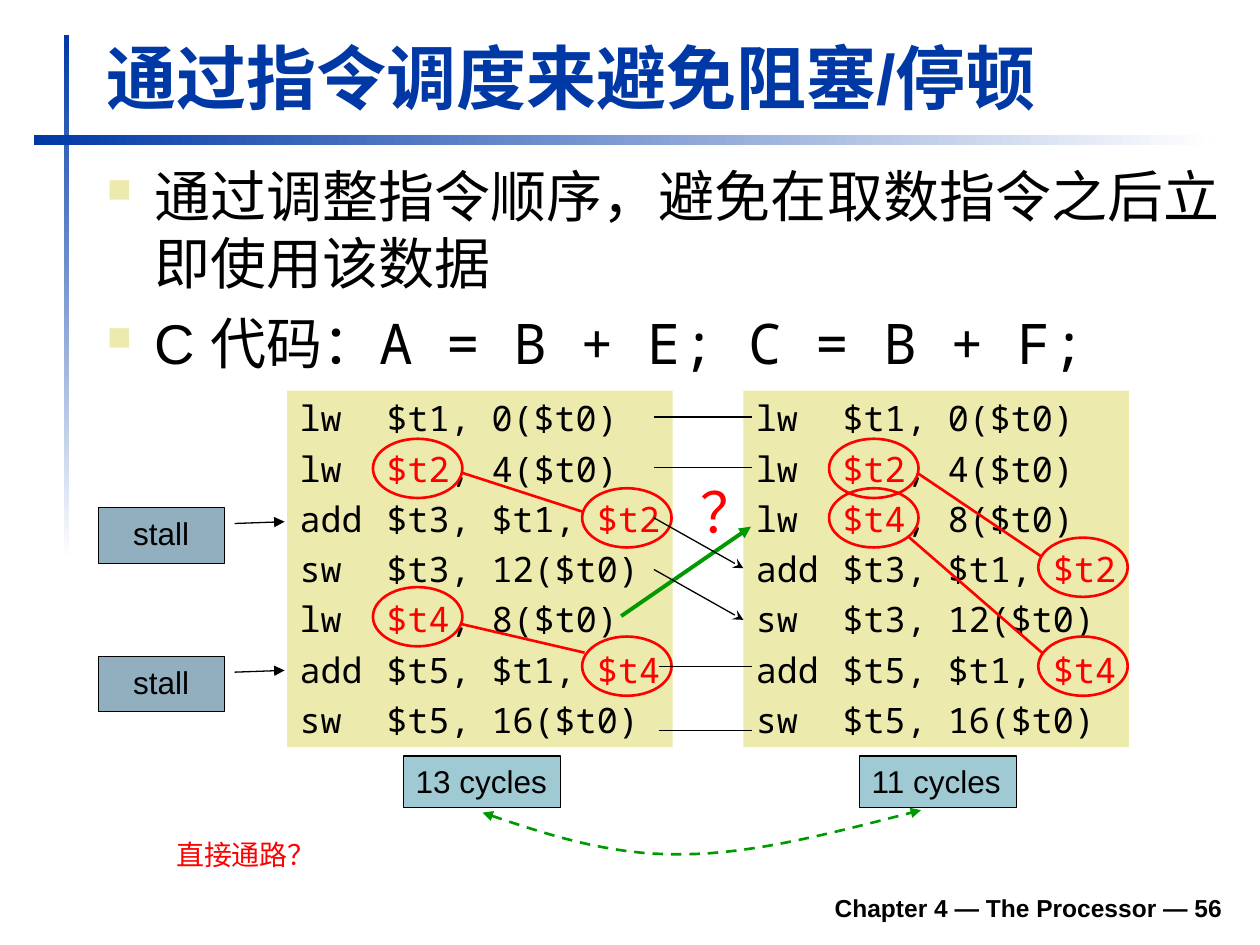
from typing import NamedTuple

from pptx import Presentation
from pptx.dml.color import RGBColor
from pptx.enum.dml import MSO_LINE
from pptx.enum.shapes import MSO_CONNECTOR, MSO_SHAPE
from pptx.enum.text import MSO_ANCHOR, PP_ALIGN
from pptx.oxml.ns import qn
from pptx.util import Inches, Pt
from lxml.etree import SubElement

COLORS = {
    "navy": "0039A6", "white": "FFFFFF", "black": "000000", "red": "FF0000",
    "green": "009900", "sand": "ECEAAC", "steel": "91AFBF", "teal": "9FCAD3",
}
SANS, MONO = "Arial", "Noto Sans Mono"
ROW = 0.3925  # pitch of the code lines and their rings


class Label(NamedTuple):
    at: tuple
    text: str
    size: int
    color: str = "black"
    bold: bool = False
    align: PP_ALIGN = PP_ALIGN.LEFT
    anchor: MSO_ANCHOR = MSO_ANCHOR.TOP
    wrap: bool = True


class Panel(NamedTuple):
    left: float
    lines: list  # text between asterisks is red
    rings: list  # (x offset, line number)
    cycles: str


class Link(NamedTuple):
    start: tuple
    end: tuple
    color: str = "black"
    width: float = 0.75
    tail: str = ""


def rgb(name: str) -> RGBColor:
    return RGBColor.from_string(COLORS[name])


def style(para, size: int, color: str = "", name: str = SANS, bold: bool = False) -> None:
    font = para.font
    font.size, font.bold = Pt(size), bold
    if name:
        font.name = name
    if color:
        font.color.rgb = rgb(color)


def draw_line(line, color: str, width: float, head: str = "", tail: str = "") -> None:
    line.color.rgb, line.width = rgb(color), Pt(width)
    for tag, kind in (("a:headEnd", head), ("a:tailEnd", tail)):
        if kind:
            SubElement(line._get_or_add_ln(), qn(tag), type=kind)


def add_box(kind: MSO_SHAPE, at: tuple, fill: str = "", edge: str = "",
            width: float = 0.75, tail: str = ""):
    box = slide.shapes.add_shape(kind, *map(Inches, at))
    box.shadow.inherit = False
    if fill:
        box.fill.solid()
        box.fill.fore_color.rgb = rgb(fill)
    else:
        box.fill.background()
    if edge:
        draw_line(box.line, edge, width, tail=tail)
    else:
        box.line.fill.background()
    return box


def add_bar(at: tuple, angle: int) -> None:
    fill = add_box(MSO_SHAPE.RECTANGLE, at).fill
    fill.gradient()
    fill.gradient_angle = angle
    for stop, color in zip(fill.gradient_stops, ("navy", "white")):
        stop.color.rgb = rgb(color)


def put_text(box, label: Label) -> None:
    frame = box.text_frame
    frame.word_wrap, frame.vertical_anchor = label.wrap, label.anchor
    para = frame.paragraphs[0]
    para.text, para.alignment = label.text, label.align
    style(para, label.size, label.color, bold=label.bold)


def add_label(label: Label) -> None:
    put_text(slide.shapes.add_textbox(*map(Inches, label.at)), label)


def add_link(link: Link) -> None:
    ends = map(Inches, link.start + link.end)
    line = slide.shapes.add_connector(MSO_CONNECTOR.STRAIGHT, *ends)
    draw_line(line.line, link.color, link.width, tail=link.tail)
    SubElement(line._element.spPr, qn("a:effectLst"))


def add_points(at: tuple, points: list) -> None:
    frame = slide.shapes.add_textbox(*map(Inches, at)).text_frame
    frame.word_wrap = True
    for i, runs in enumerate(points):
        para = frame.add_paragraph() if i else frame.paragraphs[0]
        props = para._p.get_or_add_pPr()
        props.set("marL", str(Inches(0.38)))
        props.set("indent", str(Inches(-0.38)))
        tint = SubElement(props, qn("a:buClr"))
        SubElement(tint, qn("a:srgbClr"), val=COLORS["sand"])
        SubElement(props, qn("a:buSzPct"), val="60000")
        SubElement(props, qn("a:buChar"), char="■")
        para.space_before = Pt(7.5 if i else 0)
        for text, name in runs:
            run = para.add_run()
            run.text, run.font.name = text, name
        style(para, 32, "black", name="")


def add_panel(panel: Panel) -> None:
    box = add_box(MSO_SHAPE.RECTANGLE, (panel.left, 3.1, 3.06, 2.83), "sand")
    frame = box.text_frame
    frame.word_wrap, frame.vertical_anchor = False, MSO_ANCHOR.TOP
    for i, code in enumerate(panel.lines):
        para = frame.add_paragraph() if i else frame.paragraphs[0]
        tabs = SubElement(para._p.get_or_add_pPr(), qn("a:tabLst"))
        SubElement(tabs, qn("a:tab"), pos=str(Inches(0.69)), algn="l")
        para.alignment = PP_ALIGN.LEFT
        para.space_before = Pt(4.7 if i else 0)
        for j, part in enumerate(code.split("*")):
            if part:
                run = para.add_run()
                run.text = part
                run.font.color.rgb = rgb("red" if j % 2 else "black")
        style(para, 20, name=MONO)
    tag = (panel.left + 0.92, 6, 1.25, 0.41)
    put_text(add_box(MSO_SHAPE.RECTANGLE, tag, "teal", "black"),
             Label(tag, panel.cycles, 18, wrap=False))


def add_rings(panel: Panel) -> None:
    for x, row in panel.rings:
        add_box(MSO_SHAPE.OVAL, (panel.left + x, 3.09 + row * ROW, 0.71, 0.47),
                edge="red", width=1.5)


def add_stall(top: float) -> None:
    at = (0.78, top, 1, 0.44)
    box = add_box(MSO_SHAPE.LINE_CALLOUT_1, at, "steel", "black", tail="triangle")
    for i, value in enumerate((0.285, 1.083, 0.253, 1.479)):
        box.adjustments[i] = value
    put_text(box, Label(at, "stall", 18, align=PP_ALIGN.CENTER))


def add_curve(start: tuple, bends: list, steps: int = 16) -> None:
    spots = [start]
    for b, c, d in bends:
        a = spots[-1]
        for t in (n / steps for n in range(1, steps + 1)):
            u = 1 - t
            mix = (u**3, 3 * u * u * t, 3 * u * t * t, t**3)
            spots.append(tuple(sum(m * p[k] for m, p in zip(mix, (a, b, c, d)))
                               for k in (0, 1)))
    spots = [(Inches(x), Inches(y)) for x, y in spots]
    pen = slide.shapes.build_freeform(*spots[0])
    pen.add_line_segments(spots[1:], close=False)
    curve = pen.convert_to_shape()
    curve.shadow.inherit = False
    curve.fill.background()
    curve.line.dash_style = MSO_LINE.DASH
    draw_line(curve.line, "green", 1.5, "triangle", "triangle")


NEAR, FAR = 0.68, 2.34
PANELS = [
    Panel(2.28, ["lw\t$t1, 0($t0)", "lw\t*$t2*, 4($t0)", "add\t$t3, $t1, *$t2*",
                 "sw\t$t3, 12($t0)", "lw\t*$t4*, 8($t0)", "add\t$t5, $t1, *$t4*",
                 "sw\t$t5, 16($t0)"],
          [(NEAR, 1), (FAR, 2), (NEAR, 4), (FAR, 5)], "13 cycles"),
    Panel(5.9, ["lw\t$t1, 0($t0)", "lw\t*$t2*, 4($t0)", "lw\t*$t4*, 8($t0)",
                "add\t$t3, $t1, *$t2*", "sw\t$t3, 12($t0)", "add\t$t5, $t1, *$t4*",
                "sw\t$t5, 16($t0)"],
          [(NEAR, 1), (FAR, 3), (FAR, 5), (NEAR, 2)], "11 cycles"),
]
# Red: data dependences; black: moved or kept lines
LINKS = [Link(a, b, "red", 1.5) for a, b in (
    ((3.66, 3.75), (4.62, 4.06)), ((3.65, 4.95), (4.64, 5.18)),
    ((7.29, 3.76), (8.27, 4.42)), ((7.21, 4.26), (8.27, 5.18)))]
LINKS += [Link((x, y), (5.97, y))
          for x, y in ((5.19, 3.31), (5.19, 3.71), (5.23, 5.29), (5.23, 5.8))]
LINKS += [Link((5.19, y), (5.9, y + 0.4), tail="stealth") for y in (4.11, 4.52)]

deck = Presentation()
deck.slide_width, deck.slide_height = Inches(10), Inches(7.5)
slide = deck.slides.add_slide(deck.slide_layouts[6])

# Frame bars, footer, title and points
add_bar((0.51, 0.28, 0.04, 4.17), 270)
add_bar((0.27, 1.07, 9.37, 0.08), 0)
add_label(Label((1.85, 6.98, 7.95, 0.39), "Chapter 4 — The Processor — 56", 14,
                bold=True, align=PP_ALIGN.RIGHT, anchor=MSO_ANCHOR.BOTTOM))
add_label(Label((0.75, 0.22, 9.03, 0.77), "通过指令调度来避免阻塞/停顿", 40, "navy",
                bold=True, anchor=MSO_ANCHOR.BOTTOM))
add_points((0.75, 1.23, 9.05, 2.02), [
    [("通过调整指令顺序，避免在取数指令之后立即使用该数据", SANS)],
    [("C 代码：", SANS), ("A = B + E; C = B + F;", MONO)],
])

# Code panels with stalls, rings and links
for panel in PANELS:
    add_panel(panel)
for top in (4.03, 5.21):
    add_stall(top)
add_link(Link((4.93, 4.89), (5.96, 4.18), "green", 2.25, "triangle"))
for panel in PANELS:
    add_rings(panel)
for link in LINKS:
    add_link(link)

# Cycle comparison and remarks
add_curve((3.83, 6.45), [((4.33, 6.62), (4.83, 6.79), (5.41, 6.78)),
                         ((5.99, 6.78), (6.65, 6.6), (7.31, 6.43))])
add_label(Label((5.46, 3.74, 0.52, 0.64), "？", 32, "red"))
add_label(Label((1.3, 6.6, 1.32, 0.37), "直接通路？", 16, "red", wrap=False))

deck.save("out.pptx")
